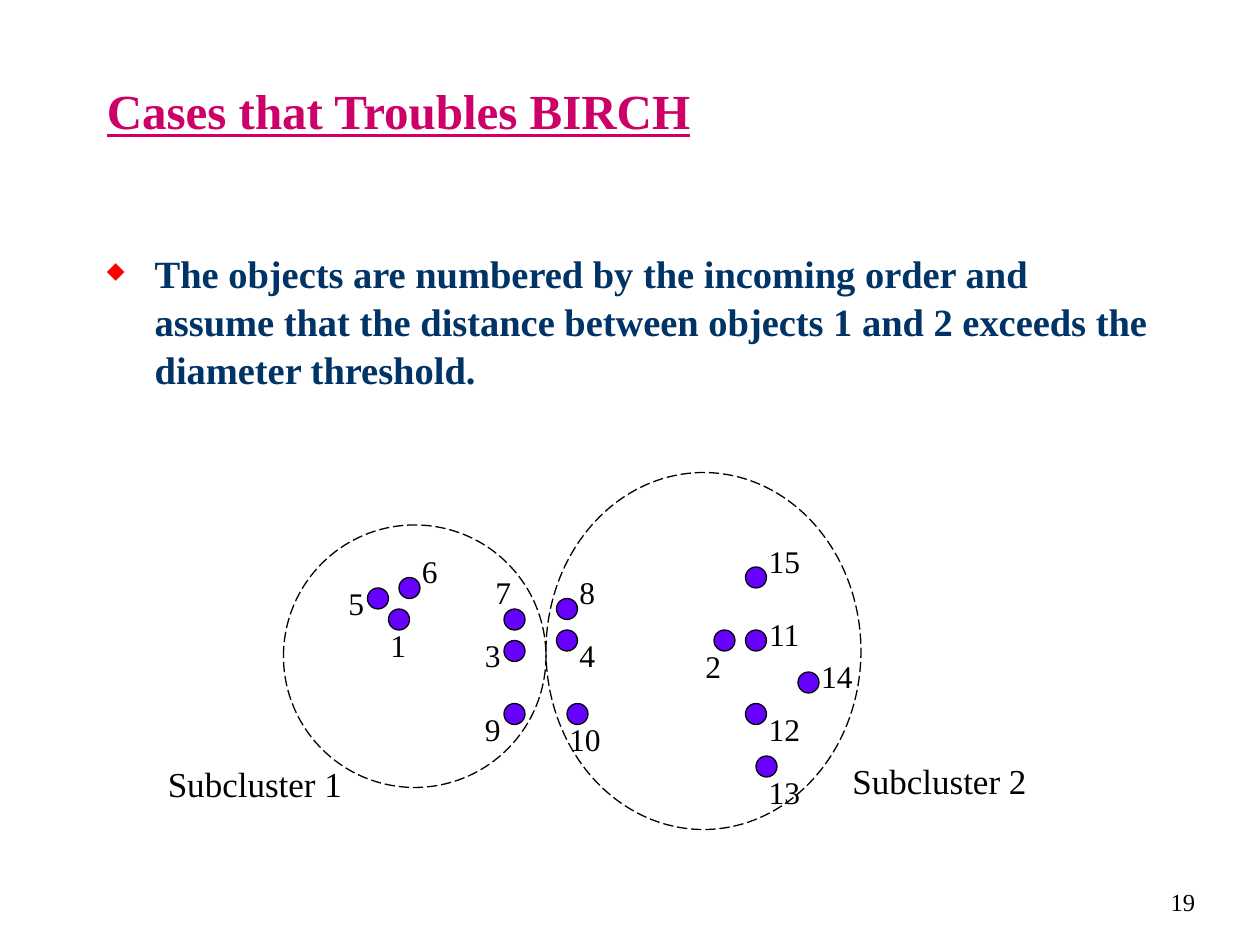
from lxml.etree import SubElement
from pptx import Presentation
from pptx.dml.color import RGBColor
from pptx.enum.dml import MSO_LINE
from pptx.enum.shapes import MSO_SHAPE as SHAPE
from pptx.enum.text import MSO_ANCHOR as ANCHOR, MSO_AUTO_SIZE as FIT, PP_ALIGN as ALIGN
from pptx.oxml.ns import qn
from pptx.util import Inches, Pt

FORMATS = {
    "title": dict(size=Pt(28), bold=True, underline=True, color="CC0066"),
    "body": dict(size=Pt(22), bold=True, color="003366"),
    "caption": dict(size=Pt(20), color="000000"),
    "label": dict(size=Pt(18), color="000000"),
    "number": dict(size=Pt(14), color="000000"),
}

# number: (dot column, dot row, label column, label row)
OBJECTS = {
    1: (37, 58, 36, 59),
    2: (68, 60, 66, 61),
    3: (48, 61, 45, 60),
    4: (53, 60, 54, 60),
    5: (35, 56, 32, 55),
    6: (38, 55, 39, 52),
    7: (48, 58, 46, 54),
    8: (53, 57, 54, 54),
    9: (48, 67, 45, 67),
    10: (54, 67, 53, 68),
    11: (71, 60, 72, 58),
    12: (71, 67, 72, 67),
    13: (72, 72, 72, 73),
    14: (76, 64, 77, 62),
    15: (71, 54, 72, 51),
}


def rgb(value):
    """Turn a hex string into a colour."""
    return RGBColor.from_string(value)


class Deck:
    """Style and current slide, on a grid of 120 columns by 90 rows."""

    font = "Times New Roman"
    ink = "000000"

    def __init__(self):
        """Open a presentation with one blank slide."""
        self.prs = Presentation()
        self.prs.slide_width, self.prs.slide_height = Inches(10), Inches(7.5)
        self.slide = self.prs.slides.add_slide(self.prs.slide_layouts[6])
        self.shapes = self.slide.shapes

    def place(self, x, y, w, h):
        """Turn grid columns and rows into slide lengths."""
        col, row = self.prs.slide_width / 120, self.prs.slide_height / 90
        return round(x * col), round(y * row), round(w * col), round(h * row)

    def text(self, box, words, style, align=ALIGN.LEFT, anchor=ANCHOR.TOP, wrap=True):
        """Add a text box and return its paragraph."""
        tf = self.shapes.add_textbox(*self.place(*box)).text_frame
        tf.word_wrap, tf.vertical_anchor = wrap, anchor
        tf.auto_size = FIT.NONE if wrap else FIT.SHAPE_TO_FIT_TEXT
        p = tf.paragraphs[0]
        p.alignment = align
        r = p.add_run()
        r.text, r.font.name = words, self.font
        for key, value in FORMATS[style].items():
            if key == "color":
                r.font.color.rgb = rgb(value)
            else:
                setattr(r.font, key, value)
        return p

    def bullet(self, box, words):
        """Add a paragraph with a red diamond and a hanging indent."""
        p = self.text(box, words, "body")
        p.line_spacing = 1.04
        props = p._p.get_or_add_pPr()
        props.set("marL", str(Inches(0.38)))
        props.set("indent", str(Inches(-0.38)))
        SubElement(SubElement(props, qn("a:buClr")), qn("a:srgbClr"), val="FF0000")
        SubElement(props, qn("a:buSzPct"), val="60000")
        SubElement(props, qn("a:buChar"), char="◆")

    def oval(self, box, fill=None, dash=None):
        """Add an outlined ellipse."""
        s = self.shapes.add_shape(SHAPE.OVAL, *self.place(*box))
        s.shadow.inherit = False
        if fill:
            s.fill.solid()
            s.fill.fore_color.rgb = rgb(fill)
        else:
            s.fill.background()
        s.line.color.rgb, s.line.width = rgb(self.ink), Pt(0.75)
        if dash:
            s.line.dash_style = dash

    def group(self):
        """Send the next elements into a new group."""
        self.shapes = self.slide.shapes.add_group_shape().shapes

    def ungroup(self):
        """Send the next elements straight to the slide."""
        self.shapes = self.slide.shapes


def main():
    """Build the slide and save it."""
    d = Deck()
    d.text((90, 82.9, 25, 6), "19", "number", ALIGN.RIGHT, ANCHOR.MIDDLE)
    d.text((9, 4, 102, 13), "Cases that Troubles BIRCH", "title", anchor=ANCHOR.MIDDLE)
    d.bullet((9, 23, 102, 57),
             "The objects are numbered by the incoming order and assume that the "
             "distance between objects 1 and 2 exceeds the diameter threshold.")

    d.group()
    for cluster in ((27, 50, 25, 25), (52, 45, 30, 34)):
        d.oval(cluster, dash=MSO_LINE.LONG_DASH)
    for x, y, _, _ in OBJECTS.values():
        d.oval((x, y, 2, 2), fill="6600FF")
    for number, (_, _, x, y) in OBJECTS.items():
        width = 3.8 if number < 10 else 5.4
        d.text((x, y, width, 4.8), str(number), "label", ALIGN.CENTER, wrap=False)
    d.ungroup()

    for number, x, y in ((1, 14.8, 72), (2, 80, 71.7)):
        d.text((x, y, 19, 5.3), f"Subcluster {number}", "caption", wrap=False)
    d.prs.save("out.pptx")


if __name__ == "__main__":
    main()
